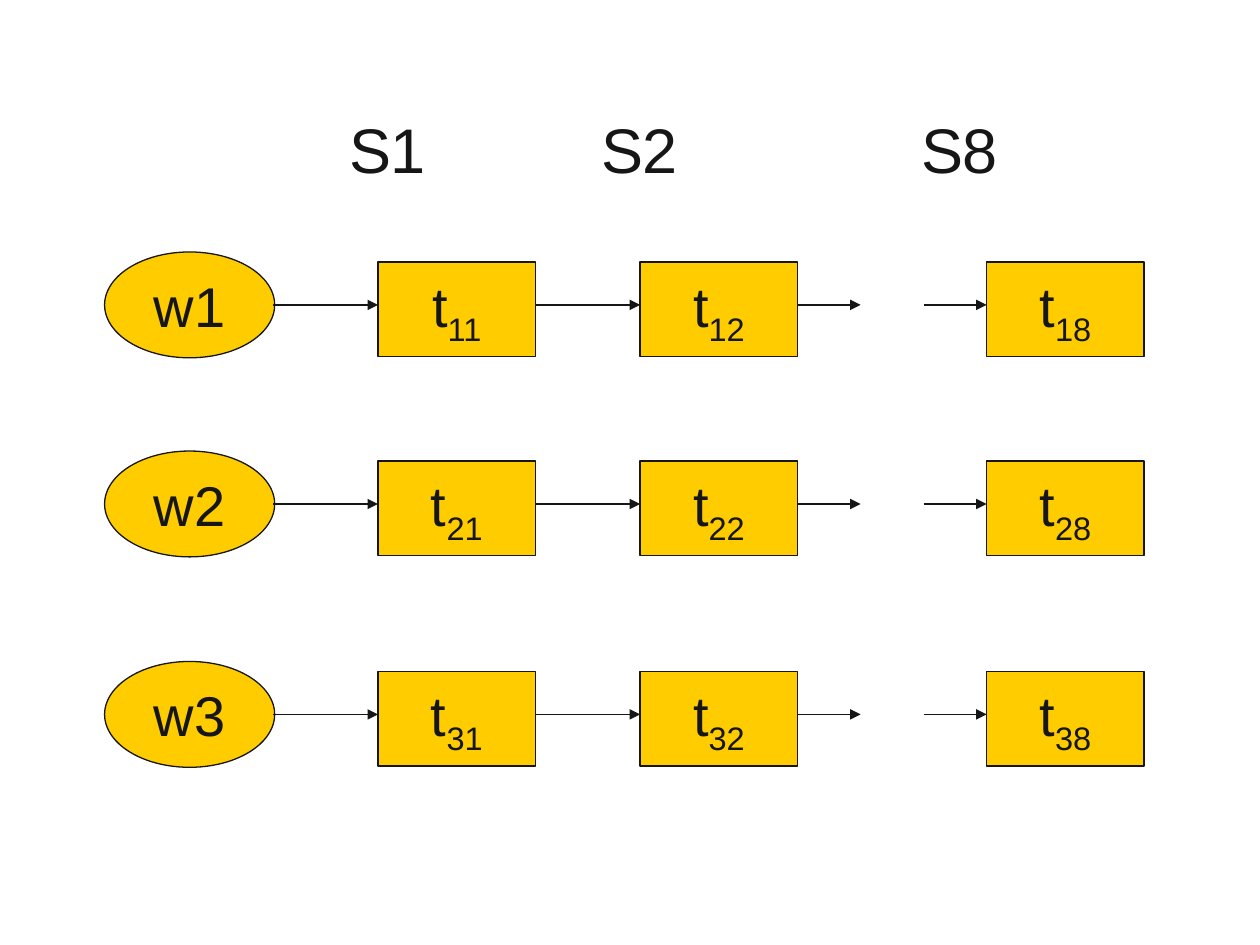
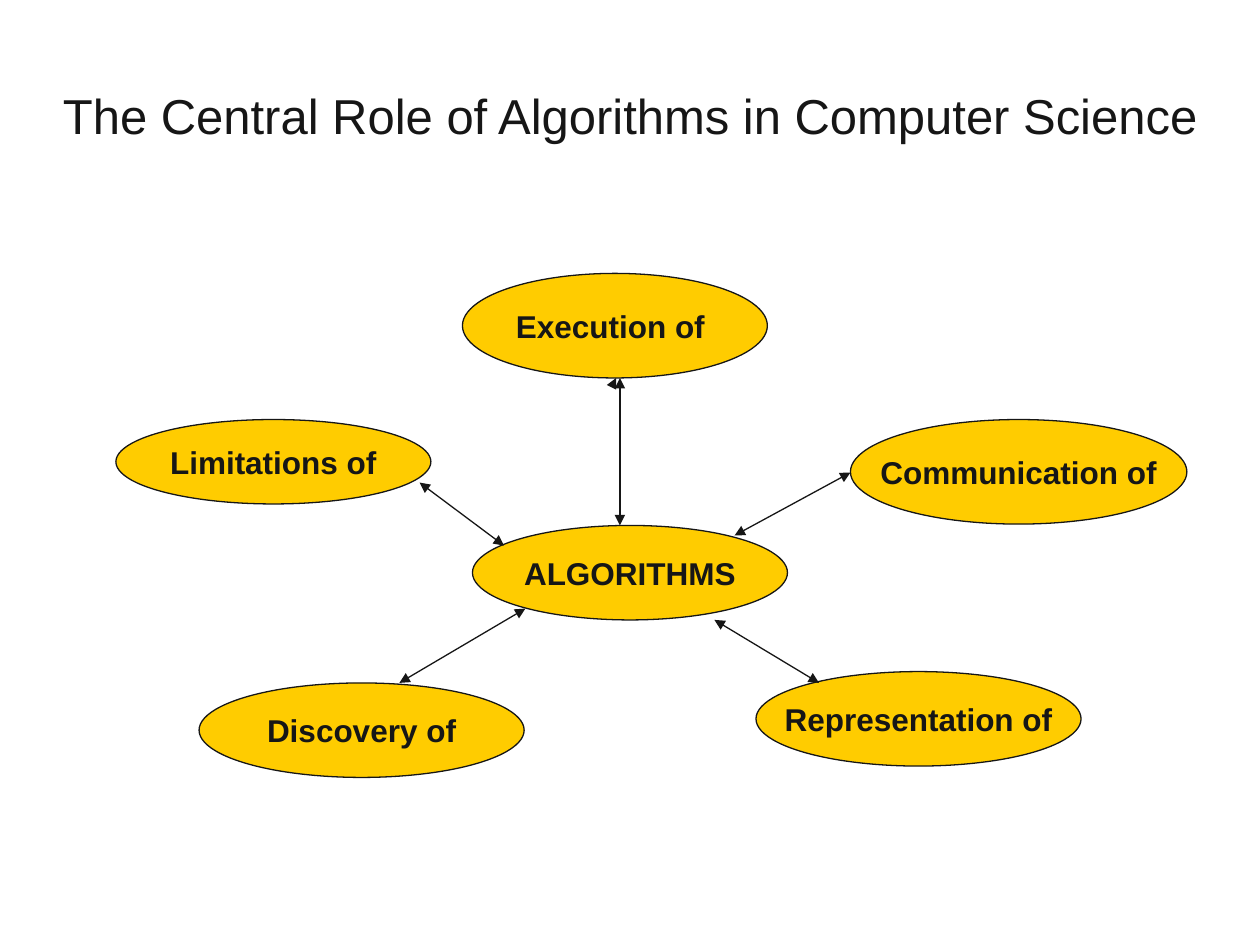
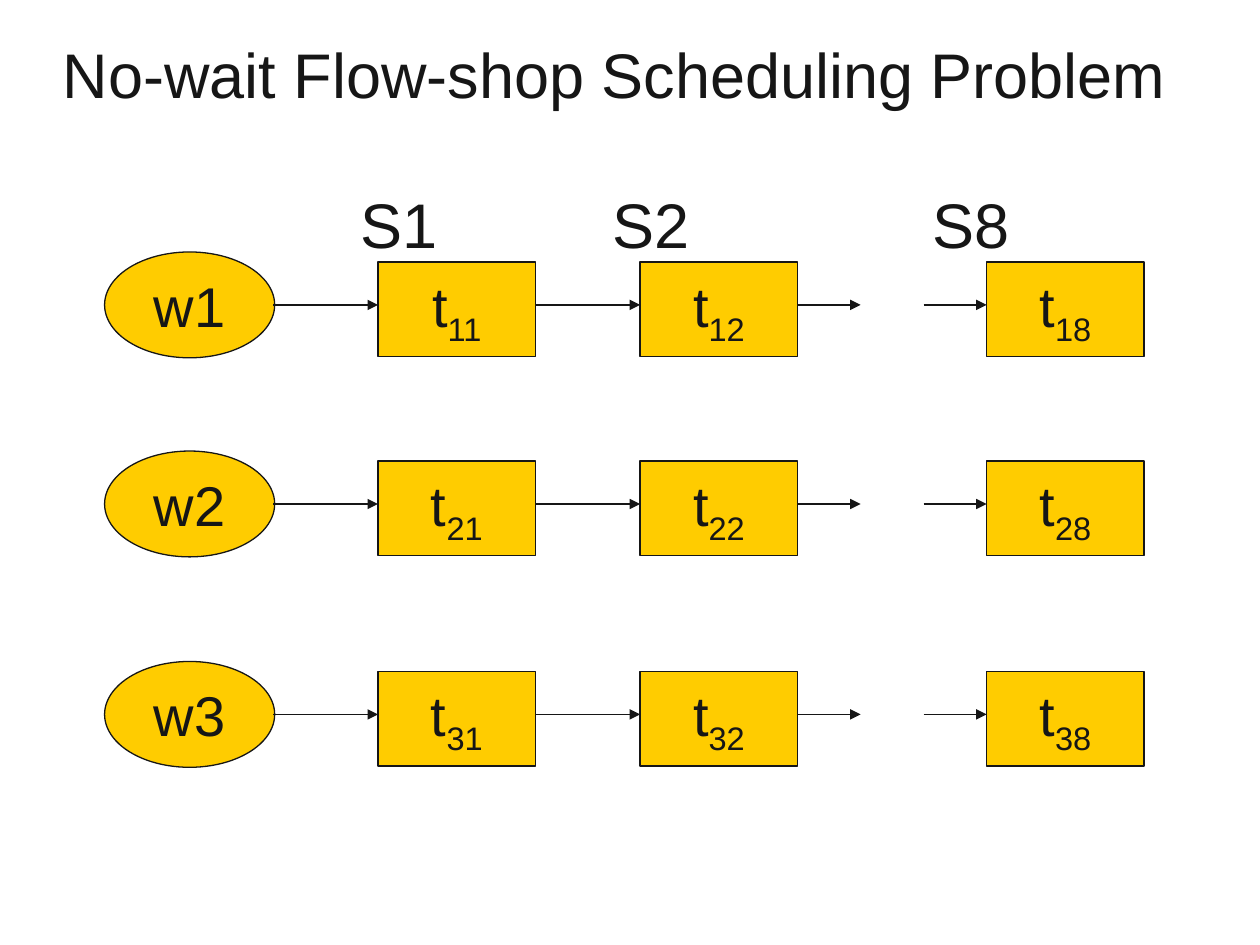
from dataclasses import dataclass

from lxml.etree import SubElement
from pptx import Presentation
from pptx.dml.color import RGBColor
from pptx.enum.shapes import MSO_CONNECTOR, MSO_SHAPE
from pptx.enum.text import MSO_ANCHOR, MSO_AUTO_SIZE, PP_ALIGN
from pptx.oxml.ns import qn
from pptx.util import Inches, Pt


@dataclass(frozen=True)
class Theme:
    font: str = "Arial"
    ink: RGBColor = RGBColor(0x16, 0x16, 0x16)
    gold: RGBColor = RGBColor(0xFF, 0xCC, 0x00)
    line_width: float = 0.75
    heading_size: int = 36
    node_size: int = 32
    topic_size: int = 18
    topic_title_size: int = 28


THEME = Theme()
HEADINGS_LAYOUT, TITLE_LAYOUT = 4, 5
STATIONS = (1, 2, 8)
STATION_LEFTS = (2.17, 4.25, 7)
HEADING_LEFTS = (2.34, 4.34, 6.88)
FLOW_ARROWS = ((1.34, 2.17), (3.42, 4.25), (5.5, 6), (6.5, 7))
ROW_TOPS = (2, 3.58, 5.25)
FLOW_LEFT = 0.83
TOPICS = (
    ("ALGORITHMS", (3.75, 4.17, 2.5, 0.75)),
    ("Limitations of", (0.92, 3.33, 2.5, 0.67)),
    ("Discovery of", (1.58, 5.42, 2.58, 0.75)),
    ("Representation of", (6, 5.33, 2.58, 0.75)),
    ("Communication of", (6.75, 3.33, 2.67, 0.83)),
    ("Execution of ", (3.67, 2.17, 2.42, 0.83)),
)
TOPIC_ARROWS = (
    ((4.92, 3), (4.92, 4.17)),
    ((5.83, 4.25), (6.75, 3.75)),
    ((3.33, 3.83), (4, 4.33)),
    ((3.17, 5.42), (4.17, 4.83)),
    ((5.67, 4.92), (6.5, 5.42)),
)


def style_paragraph(para, size, bold=False, align=PP_ALIGN.CENTER):
    para.alignment = align
    para.font.name = THEME.font
    para.font.size = Pt(size)
    para.font.bold = bold
    para.font.color.rgb = THEME.ink


def remove(shape):
    shape._element.getparent().remove(shape._element)


def fill_placeholder(holder, box, text, anchor):
    holder.left, holder.top, holder.width, holder.height = map(Inches, box)
    frame = holder.text_frame
    frame.vertical_anchor = anchor
    frame.auto_size = MSO_AUTO_SIZE.NONE
    frame.text = text
    return frame.paragraphs[0]


def add_node(page, kind, box, text, size, subscript="", bold=False):
    node = page.shapes.add_shape(kind, *map(Inches, box))
    node.shadow.inherit = False
    node.fill.solid()
    node.fill.fore_color.rgb = THEME.gold
    node.line.color.rgb = THEME.ink
    node.line.width = Pt(THEME.line_width)
    frame = node.text_frame
    frame.word_wrap = False
    frame.vertical_anchor = MSO_ANCHOR.MIDDLE
    para = frame.paragraphs[0]
    style_paragraph(para, size, bold)
    para.add_run().text = text
    if subscript:
        span = para.add_run()
        span.text = subscript
        span._r.get_or_add_rPr().set("baseline", "-25000")


def add_arrow(page, start, end, both_ends=False):
    arrow = page.shapes.add_connector(
        MSO_CONNECTOR.STRAIGHT, *map(Inches, (*start, *end)))
    arrow.line.color.rgb = THEME.ink
    arrow.line.width = Pt(THEME.line_width)
    line = arrow.line._get_or_add_ln()
    for tag in ("a:headEnd", "a:tailEnd") if both_ends else ("a:tailEnd",):
        SubElement(line, qn(tag), type="triangle")
    SubElement(arrow._element.spPr, qn("a:effectLst"))


def set_title(page, box, text, size):
    para = fill_placeholder(page.shapes.title, box, text, MSO_ANCHOR.MIDDLE)
    style_paragraph(para, size)


def set_station_headings(page, left, top):
    *holders, spare = [holder for holder in page.placeholders
                       if holder.placeholder_format.idx in (1, 2, 3, 4)]
    remove(spare)
    for holder, station, offset in zip(holders, STATIONS, HEADING_LEFTS):
        para = fill_placeholder(holder, (left + offset, top, 1.2, 0.8),
                                f"S{station}", MSO_ANCHOR.TOP)
        props = para._p.get_or_add_pPr()
        props.set("marL", "0")
        props.set("indent", "0")
        para.space_before = Pt(0)
        SubElement(props, qn("a:buNone"))
        style_paragraph(para, THEME.heading_size, align=PP_ALIGN.LEFT)


def add_flow_row(page, left, top, number):
    add_node(page, MSO_SHAPE.OVAL, (left, top, 1.35, 0.84),
             f"w{number}", THEME.node_size)
    for station, offset in zip(STATIONS, STATION_LEFTS):
        add_node(page, MSO_SHAPE.RECTANGLE, (left + offset, top + 0.08, 1.25, 0.75),
                 "t", THEME.node_size, subscript=f"{number}{station}")
    for start, end in FLOW_ARROWS:
        add_arrow(page, (left + start, top + 0.42), (left + end, top + 0.42))


def add_flow_page(deck, headings_left, headings_top):
    page = deck.slides.add_slide(deck.slide_layouts[HEADINGS_LAYOUT])
    set_station_headings(page, headings_left, headings_top)
    for number, top in enumerate(ROW_TOPS, start=1):
        add_flow_row(page, FLOW_LEFT, top, number)
    return page


def add_untitled_flow_page(deck):
    page = add_flow_page(deck, 0.33, 0.83)
    remove(page.shapes.title)


def add_topics_page(deck):
    page = deck.slides.add_slide(deck.slide_layouts[TITLE_LAYOUT])
    set_title(page, (0, 0.33, 10, 1.17),
              "The Central Role of Algorithms in Computer Science",
              THEME.topic_title_size)
    for text, box in TOPICS:
        add_node(page, MSO_SHAPE.OVAL, box, text, THEME.topic_size, bold=True)
    add_arrow(page, (4.86, 3.06), (4.89, 3))
    for start, end in TOPIC_ARROWS:
        add_arrow(page, start, end, both_ends=True)


def add_titled_flow_page(deck):
    page = add_flow_page(deck, 0.42, 1.42)
    set_title(page, (0, 0.25, 9.75, 0.67),
              "No-wait Flow-shop Scheduling Problem", THEME.heading_size)


def main():
    deck = Presentation()
    deck.slide_width, deck.slide_height = Inches(10), Inches(7.5)
    add_untitled_flow_page(deck)
    add_topics_page(deck)
    add_titled_flow_page(deck)
    deck.save("out.pptx")


if __name__ == "__main__":
    main()
